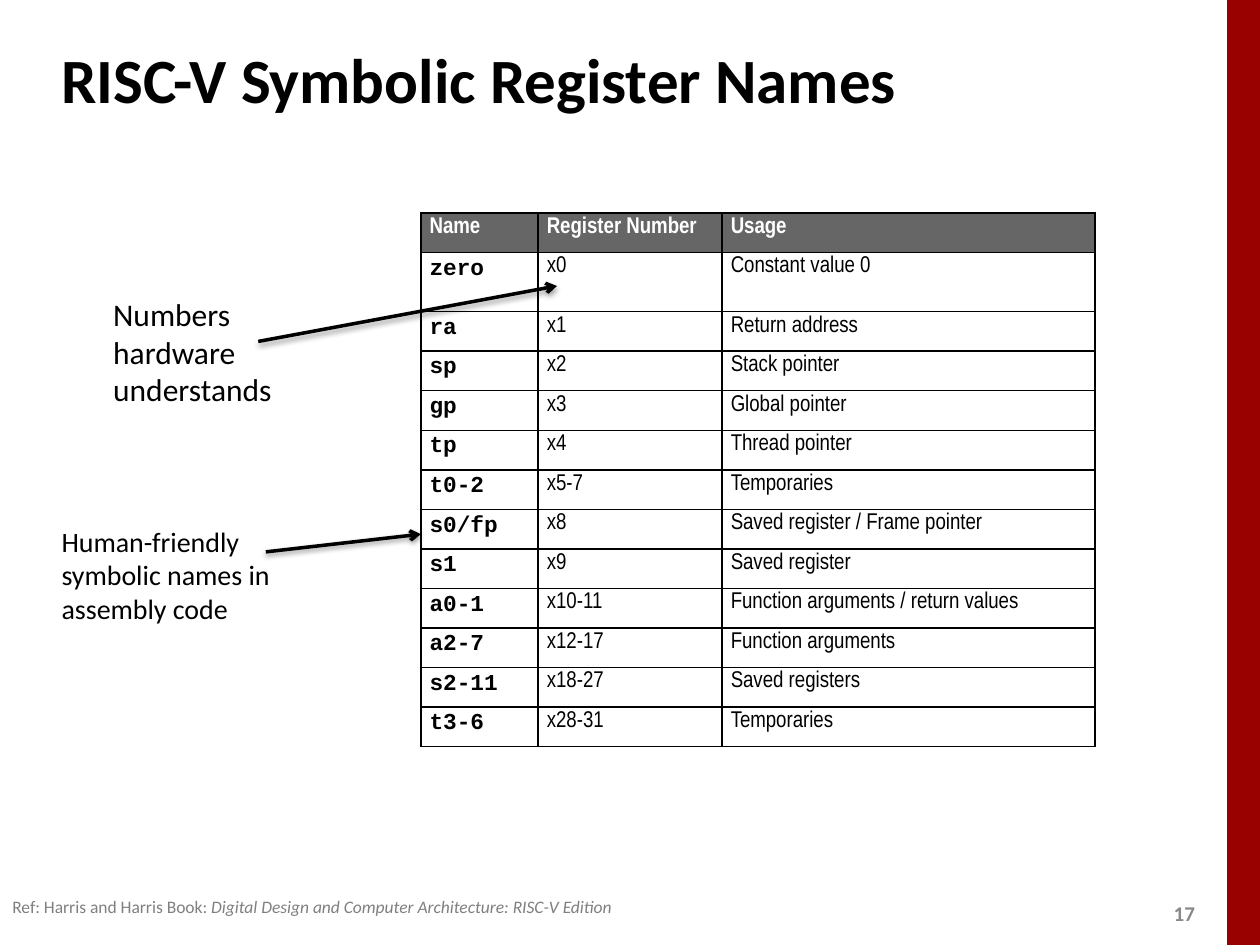
import dataclasses

import pptx
import pptx.dml.color
import pptx.enum.shapes
import pptx.enum.text
import pptx.oxml
import pptx.oxml.ns
import pptx.util

Inches = pptx.util.Inches
Pt = pptx.util.Pt
ANCHOR = pptx.enum.text.MSO_ANCHOR
ALIGN = pptx.enum.text.PP_ALIGN


@dataclasses.dataclass(frozen=True)
class Theme:
    black: str = "000000"
    white: str = "FFFFFF"
    stripe: str = "990000"
    header: str = "666666"
    reference: str = "808080"
    page_number: str = "898989"
    body_font: str = "Calibri"
    table_font: str = "Arial Narrow"
    code_font: str = "Courier New"
    title_size: int = 36
    numbers_size: int = 18
    names_size: int = 16
    table_size: int = 13
    page_size: int = 12
    reference_size: int = 10


THEME = Theme()

COLUMN_WIDTHS = (0.93, 1.46, 2.96)
ROW_HEIGHT = 0.314
ZERO_ROW_HEIGHT = 0.47
REGISTERS = (
    ("Name", "Register Number", "Usage"),
    ("zero", "x0", "Constant value 0"),
    ("ra", "x1", "Return address"),
    ("sp", "x2", "Stack pointer"),
    ("gp", "x3", "Global pointer"),
    ("tp", "x4", "Thread pointer"),
    ("t0-2", "x5-7", "Temporaries"),
    ("s0/fp", "x8", "Saved register / Frame pointer"),
    ("s1", "x9", "Saved register"),
    ("a0-1", "x10-11", "Function arguments / return values"),
    ("a2-7", "x12-17", "Function arguments"),
    ("s2-11", "x18-27", "Saved registers"),
    ("t3-6", "x28-31", "Temporaries"),
)


def rgb(color):
    return pptx.dml.color.RGBColor.from_string(color)


def drawing_xml(tag, content=""):
    """Make a DrawingML element; tag may carry attributes."""
    name = tag.split()[0]
    namespace = pptx.oxml.ns.nsdecls("a")
    return pptx.oxml.parse_xml(f"<a:{tag} {namespace}>{content}</a:{name}>")


def add_run(paragraph, text, size, color, font=THEME.body_font, bold=False, italic=False):
    run = paragraph.add_run()
    run.text = text
    run.font.name = font
    run.font.size = Pt(size)
    run.font.bold = bold
    run.font.italic = italic
    run.font.color.rgb = rgb(color)


def set_hanging_indent(paragraph, inches):
    properties = paragraph._p.get_or_add_pPr()
    properties.set("marL", str(Inches(inches)))
    properties.set("indent", str(-Inches(inches)))


def add_text_box(shapes, left, top, width, height, anchor=ANCHOR.TOP):
    """Add an empty wrapping text box and return its first paragraph."""
    box = shapes.add_textbox(Inches(left), Inches(top), Inches(width), Inches(height))
    box.text_frame.word_wrap = True
    box.text_frame.vertical_anchor = anchor
    return box.text_frame.paragraphs[0]


def add_stripe(slide):
    stripe = slide.shapes.add_shape(
        pptx.enum.shapes.MSO_SHAPE.RECTANGLE,
        Inches(9.74), Inches(0), Inches(0.26), Inches(7.5))
    stripe.shadow.inherit = False
    stripe.fill.solid()
    stripe.fill.fore_color.rgb = rgb(THEME.stripe)
    stripe.line.fill.background()


def add_borders(cell):
    line = f'<a:solidFill><a:srgbClr val="{THEME.black}"/></a:solidFill>'
    for index, side in enumerate("LRTB"):
        cell._tc.get_or_add_tcPr().insert(
            index, drawing_xml(f'ln{side} w="{Pt(1)}"', line))


def fill_cell(cell, text, is_header, is_code):
    cell.margin_left = cell.margin_right = Inches(0.07)
    cell.margin_top = cell.margin_bottom = Inches(0.03)
    if is_header:
        cell.fill.solid()
        cell.fill.fore_color.rgb = rgb(THEME.header)
    else:
        cell.fill.background()
    add_borders(cell)
    paragraph = cell.text_frame.paragraphs[0]
    set_hanging_indent(paragraph, 0.38)
    add_run(paragraph, text, THEME.table_size,
            THEME.white if is_header else THEME.black,
            THEME.code_font if is_code else THEME.table_font,
            bold=is_header or is_code)


def add_register_table(slide):
    table = slide.shapes.add_table(
        len(REGISTERS), len(COLUMN_WIDTHS),
        Inches(3.34), Inches(1.69), Inches(sum(COLUMN_WIDTHS)), Inches(4.24)).table
    table.horz_banding = False
    for column, width in zip(table.columns, COLUMN_WIDTHS):
        column.width = Inches(width)
    for row_index, texts in enumerate(REGISTERS):
        height = ZERO_ROW_HEIGHT if row_index == 1 else ROW_HEIGHT
        table.rows[row_index].height = Inches(height)
        for column_index, text in enumerate(texts):
            is_header = row_index == 0
            fill_cell(table.cell(row_index, column_index), text, is_header,
                      is_code=column_index == 0 and not is_header)


def add_arrow(shapes, start, end):
    arrow = shapes.add_connector(
        pptx.enum.shapes.MSO_CONNECTOR.STRAIGHT,
        *(Inches(value) for value in start + end))
    arrow.line.width = Pt(2)
    arrow.line.color.rgb = rgb(THEME.black)
    properties = arrow._element.spPr
    properties.find(pptx.oxml.ns.qn("a:ln")).append(drawing_xml('tailEnd type="arrow"'))
    properties.append(drawing_xml(
        "effectLst",
        f'<a:outerShdw blurRad="{Pt(3.1)}" dist="{Pt(1.6)}" dir="5400000" rotWithShape="0">'
        f'<a:srgbClr val="{THEME.black}"><a:alpha val="38000"/></a:srgbClr></a:outerShdw>'))


def add_callout(slide, text, size, box, start, end):
    """Group a label with the arrow that leads from it into the table."""
    group = slide.shapes.add_group_shape()
    add_arrow(group.shapes, start, end)
    add_run(add_text_box(group.shapes, *box), text, size, THEME.black)


def add_title(slide):
    paragraph = add_text_box(slide.shapes, 0.39, 0.21, 8.3, 0.83, ANCHOR.MIDDLE)
    set_hanging_indent(paragraph, 0.13)
    add_run(paragraph, "RISC-V Symbolic Register Names",
            THEME.title_size, THEME.black, bold=True)


def add_footer(slide):
    reference = add_text_box(slide.shapes, 0, 7.06, 6.46, 0.27)
    style = (THEME.reference_size, THEME.reference)
    add_run(reference, "Ref: Harris and Harris Book: ", *style)
    add_run(reference, "Digital Design and Computer Architecture: RISC-V Edition",
            *style, italic=True)


def add_page_number(slide):
    number = add_text_box(slide.shapes, 9.2, 7.1, 0.4, 0.3, ANCHOR.MIDDLE)
    number.alignment = ALIGN.CENTER
    add_run(number, "17", THEME.page_size, THEME.page_number, bold=True)


def main():
    presentation = pptx.Presentation()
    presentation.slide_width = Inches(10)
    presentation.slide_height = Inches(7.5)
    slide = presentation.slides.add_slide(presentation.slide_layouts[6])
    add_stripe(slide)
    add_page_number(slide)
    add_title(slide)
    add_register_table(slide)
    add_callout(slide, "Numbers hardware understands", THEME.numbers_size,
                (0.8, 2.29, 1.58, 1.01), (2.05, 2.71), (4.42, 2.27))
    add_callout(slide, "Human-friendly symbolic names in assembly code", THEME.names_size,
                (0.39, 4.11, 1.92, 0.91), (2.11, 4.38), (3.34, 4.24))
    add_footer(slide)
    presentation.save("out.pptx")


if __name__ == "__main__":
    main()
